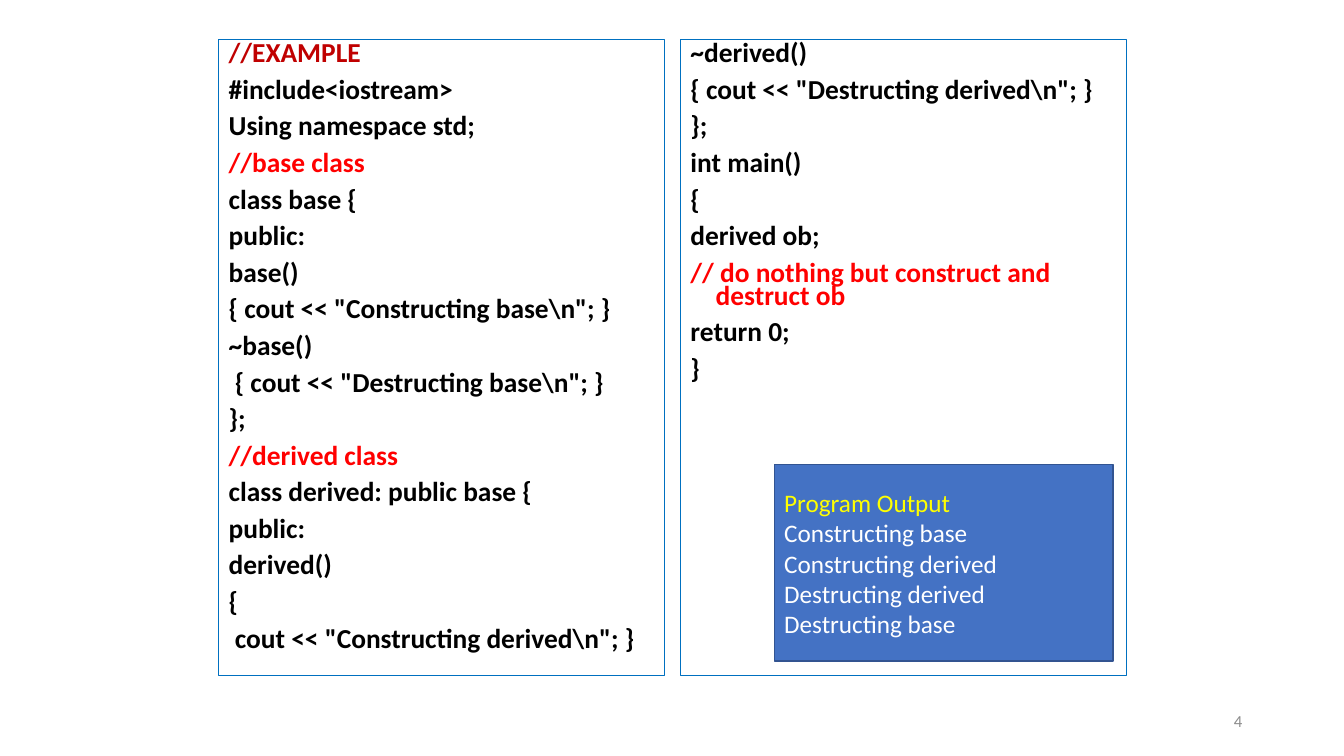
import pptx
import pptx.dml.color
import pptx.enum.shapes
import pptx.enum.text
import pptx.util

Inches = pptx.util.Inches
Pt = pptx.util.Pt
ALIGN = pptx.enum.text.PP_ALIGN
ANCHOR = pptx.enum.text.MSO_ANCHOR

# Content: comment lines start with //
CODE_COLUMNS = [
    [
        "//EXAMPLE",
        "#include<iostream>",
        "Using namespace std;",
        "//base class",
        "class base {",
        "public:",
        "base()",
        r'{ cout << "Constructing base\n"; }',
        "~base()",
        r' { cout << "Destructing base\n"; }',
        "};",
        "//derived class",
        "class derived: public base {",
        "public:",
        "derived()",
        "{",
        r' cout << "Constructing derived\n"; }',
    ],
    [
        "~derived()",
        r'{ cout << "Destructing derived\n"; }',
        "};",
        "int main()",
        "{",
        "derived ob;",
        "// do nothing but construct and destruct ob",
        "return 0;",
        "}",
    ],
]
OUTPUT_TITLE = "Program Output"
OUTPUT_LINES = [
    "Constructing base",
    "Constructing derived",
    "Destructing derived",
    "Destructing base",
]
PAGE_NUMBER = "4"

THEME = {
    "font": "Calibri",
    "code_size": 19.6, "output_size": 18, "number_size": 12,
    "title": "C00000", "comment": "FF0000", "code": "000000",
    "frame": "0070C0", "output_fill": "4472C4", "output_line": "325491",
    "output_title": "FFFF00", "output_text": "FFFFFF", "number": "8C8C8C",
}

# Layout in inches
COLUMN_LEFT, COLUMN_TOP, COLUMN_WIDTH, COLUMN_HEIGHT = 2.17, 0.39, 4.42, 6.31
COLUMN_STEP = 4.58
OUTPUT_BOX = (7.68, 4.61, 3.36, 1.95)
NUMBER_BOX = (9.42, 6.95, 3, 0.4)

CODE_FORMAT = {"alignment": ALIGN.LEFT, "line_spacing": 0.7, "space_before": Pt(9.7)}
HANGING_INDENT = {"marL": Inches(0.25), "indent": Inches(-0.25)}


def color(name):
    return pptx.dml.color.RGBColor.from_string(THEME[name])


def add_box(slide, box, line, width, fill=None):
    shape = slide.shapes.add_shape(
        pptx.enum.shapes.MSO_SHAPE.RECTANGLE, *map(Inches, box))
    shape.shadow.inherit = False
    shape.line.color.rgb = color(line)
    shape.line.width = Pt(width)
    if fill:
        shape.fill.solid()
        shape.fill.fore_color.rgb = color(fill)
    else:
        shape.fill.background()
    return shape


def write(shape, lines, size, anchor, formats, bold=False, indent=None):
    """Fill a shape with (text, colour name) lines."""
    frame = shape.text_frame
    frame.word_wrap = True
    frame.vertical_anchor = anchor
    for index, (text, color_name) in enumerate(lines):
        paragraph = frame.add_paragraph() if index else frame.paragraphs[0]
        for name, value in formats.items():
            setattr(paragraph, name, value)
        for name, value in (indent or {}).items():
            paragraph._p.get_or_add_pPr().set(name, str(value))
        run = paragraph.add_run()
        run.text = text
        font_format = {"name": THEME["font"], "size": Pt(THEME[size]), "bold": bold}
        for name, value in font_format.items():
            setattr(run.font, name, value)
        run.font.color.rgb = color(color_name)


def code_color(text):
    if text == "//EXAMPLE":
        return "title"
    return "comment" if text.startswith("//") else "code"


def main():
    presentation = pptx.Presentation()
    presentation.slide_width = Inches(13.33)
    presentation.slide_height = Inches(7.5)
    slide = presentation.slides.add_slide(presentation.slide_layouts[6])

    # Code columns
    for index, code in enumerate(CODE_COLUMNS):
        left = COLUMN_LEFT + index * COLUMN_STEP
        column = add_box(
            slide, (left, COLUMN_TOP, COLUMN_WIDTH, COLUMN_HEIGHT), "frame", 0.75)
        write(column, [(text, code_color(text)) for text in code], "code_size",
              ANCHOR.TOP, CODE_FORMAT, bold=True, indent=HANGING_INDENT)

    # Page number
    number = slide.shapes.add_textbox(*map(Inches, NUMBER_BOX))
    write(number, [(PAGE_NUMBER, "number")], "number_size", ANCHOR.MIDDLE,
          {"alignment": ALIGN.RIGHT})

    # Program output
    output = add_box(slide, OUTPUT_BOX, "output_line", 1, "output_fill")
    output_lines = [(OUTPUT_TITLE, "output_title")]
    output_lines += [(text, "output_text") for text in OUTPUT_LINES]
    write(output, output_lines, "output_size", ANCHOR.MIDDLE, {"alignment": ALIGN.LEFT})

    presentation.save("out.pptx")


if __name__ == "__main__":
    main()
